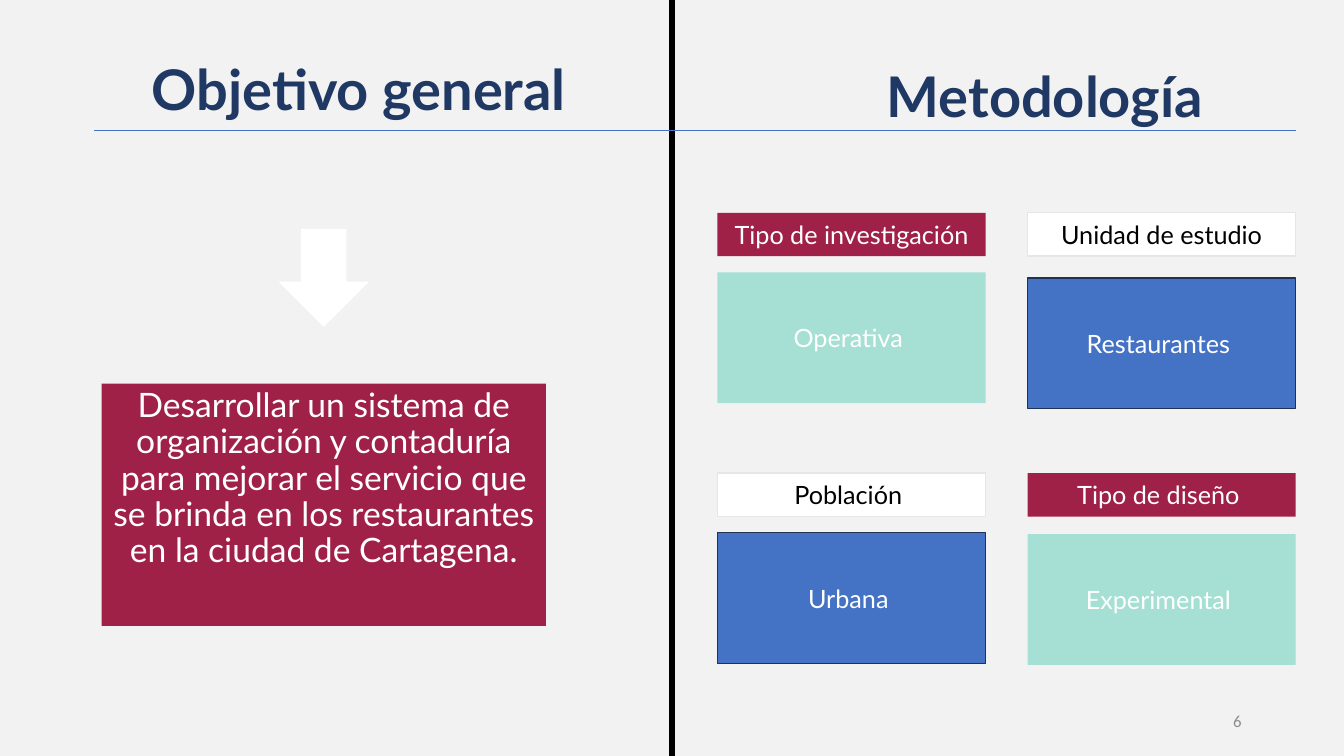
from pptx import Presentation
from pptx.dml.color import RGBColor
from pptx.enum.shapes import MSO_CONNECTOR, MSO_SHAPE
from pptx.enum.text import MSO_ANCHOR as ANCHOR, PP_ALIGN as ALIGN
from pptx.oxml.ns import qn
from pptx.util import Pt
from lxml.etree import SubElement

NAVY, CRIMSON, BLUE, MINT = "203864", "A02148", "4472C4", "A6DFD3"
WHITE, BLACK = "FFFFFF", "000000"


def paint(color_format, color):
    color_format.rgb = RGBColor.from_string(color)


def write(shape, text, size, color, font="Lato", align=ALIGN.CENTER,
          anchor=ANCHOR.MIDDLE, spacing=None, bold=False):
    frame = shape.text_frame
    frame.word_wrap = True
    frame.vertical_anchor = anchor
    paragraph = frame.paragraphs[0]
    paragraph.text = text
    paragraph.alignment = align
    paragraph.line_spacing = spacing
    paragraph.font.name = font
    paragraph.font.size = Pt(size)
    paragraph.font.bold = bold
    paint(paragraph.font.color, color)


deck = Presentation()
deck.slide_width, deck.slide_height = Pt(960), Pt(540)
slide = deck.slides.add_slide(deck.slide_layouts[6])
slide.background.fill.solid()
paint(slide.background.fill.fore_color, "F2F2F2")
shapes = slide.shapes

# Page number
page_number = shapes.add_textbox(Pt(678), Pt(500.5), Pt(216), Pt(28.75))
write(page_number, "6", 12, "8C8C8C", font="Calibri", align=ALIGN.RIGHT)

# Headings
for heading, left, top, width in [
    ("Objetivo general", 67.5, 41, 377.5),
    ("Metodología ", 609, 45.5, 284.5),
]:
    title = shapes.add_textbox(Pt(left), Pt(top), Pt(width), Pt(60))
    write(title, heading, 40, NAVY, anchor=ANCHOR.TOP, spacing=0.9, bold=True)

# Objective panel and the arrow above it
objective = shapes.add_shape(
    MSO_SHAPE.RECTANGLE, Pt(72.5), Pt(274), Pt(317.5), Pt(173))
write(objective,
      "Desarrollar un sistema de organización y contaduría para mejorar el "
      "servicio que se brinda en los restaurantes en la ciudad de Cartagena.",
      24, WHITE, anchor=ANCHOR.TOP, spacing=0.9)
arrow = shapes.add_shape(
    MSO_SHAPE.DOWN_ARROW, Pt(199), Pt(163.5), Pt(64.5), Pt(70))
for part, fill in [(objective, CRIMSON), (arrow, WHITE)]:
    part.shadow.inherit = False
    part.fill.solid()
    paint(part.fill.fore_color, fill)
    part.line.fill.background()

# Methodology cards: column, label top, label, value top, value, warm style
label_style = {True: (CRIMSON, None, WHITE), False: (WHITE, "E7E6E6", BLACK)}
value_style = {True: (MINT, None, WHITE), False: (BLUE, "1E3256", WHITE)}
for column, label_top, label, value_top, value, warm in [
    (0, 152, "Tipo de investigación", 194.5, "Operativa ", True),
    (1, 152, "Unidad de estudio", 198.5, "Restaurantes ", False),
    (0, 338, "Población ", 380.5, "Urbana ", False),
    (1, 338, "Tipo de diseño ", 381.5, "Experimental ", True),
]:
    for text, top, height, style in [
        (label, label_top, 31, label_style),
        (value, value_top, 93.5, value_style),
    ]:
        fill, border, color = style[warm]
        card = shapes.add_shape(
            MSO_SHAPE.RECTANGLE,
            Pt(512.5 + 221.5 * column), Pt(top), Pt(191.5), Pt(height))
        card.shadow.inherit = False
        card.fill.solid()
        paint(card.fill.fore_color, fill)
        if border:
            paint(card.line.color, border)
            card.line.width = Pt(1)
        else:
            card.line.fill.background()
        write(card, text, 18, color)

# Centre divider and heading rule
for x1, y1, x2, y2, color, weight in [
    (480, 0, 480, 540, BLACK, 4.5),
    (67.5, 93, 926, 93, BLUE, 0.5),
]:
    rule = shapes.add_connector(
        MSO_CONNECTOR.STRAIGHT, Pt(x1), Pt(y1), Pt(x2), Pt(y2))
    paint(rule.line.color, color)
    rule.line.width = Pt(weight)
    SubElement(rule.element.spPr, qn("a:effectLst"))

deck.save("out.pptx")
